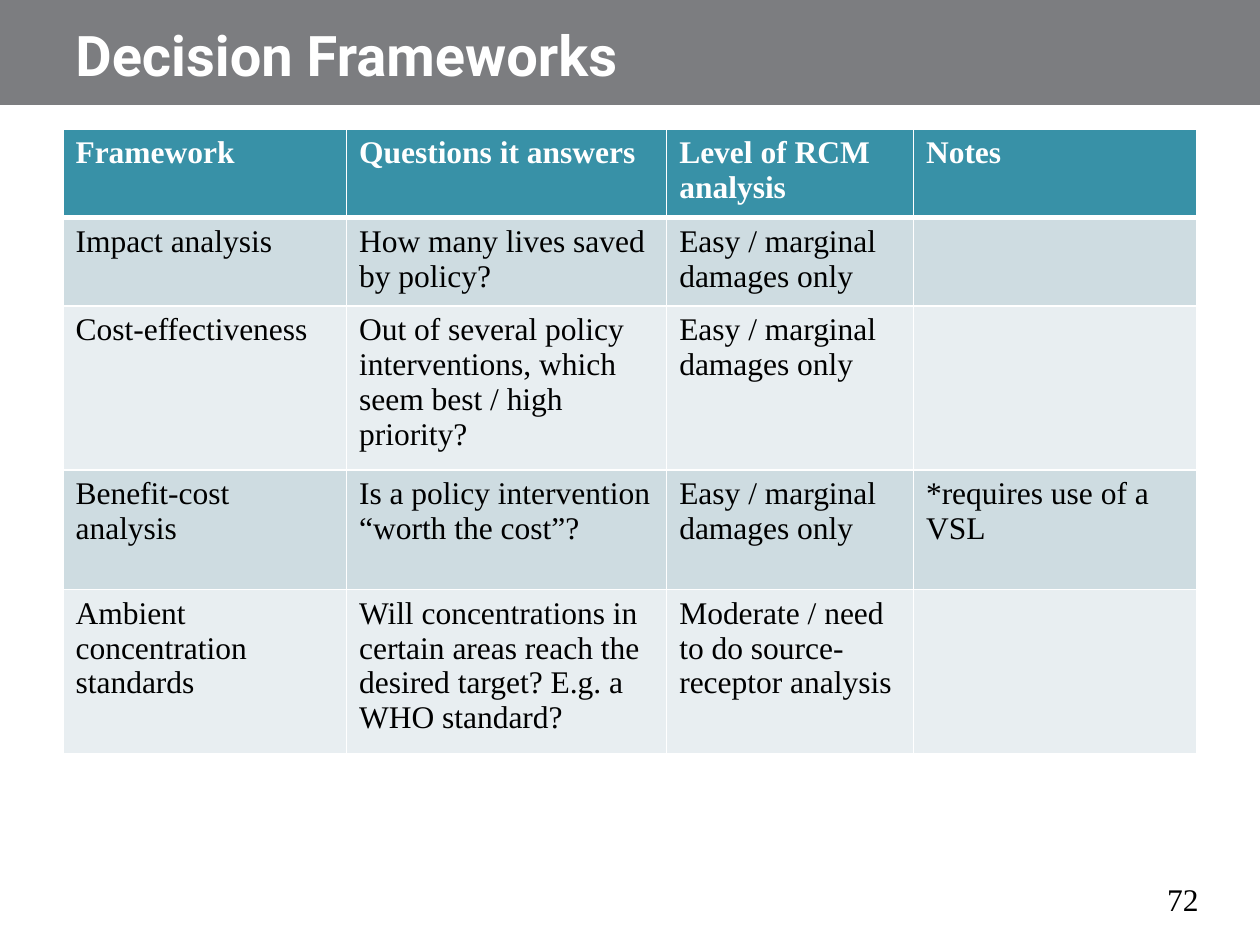
import pptx
import pptx.dml.color
import pptx.enum.shapes
import pptx.enum.text
import pptx.oxml
import pptx.oxml.ns
import pptx.util

Pt = pptx.util.Pt
RGBColor = pptx.dml.color.RGBColor
ALIGN = pptx.enum.text.PP_ALIGN
ANCHOR = pptx.enum.text.MSO_ANCHOR

WHITE = RGBColor(0xFF, 0xFF, 0xFF)
BLACK = RGBColor(0x00, 0x00, 0x00)
GRAY = RGBColor(0x7C, 0x7D, 0x80)
TEAL = RGBColor(0x38, 0x91, 0xA7)
BANDS = (RGBColor(0xCE, 0xDC, 0xE1), RGBColor(0xE8, 0xEE, 0xF1))

EASY = "Easy / marginal damages only"
ROWS = [
    ("Framework", "Questions it answers", "Level of RCM analysis", "Notes"),
    ("Impact analysis", "How many lives saved by policy?", EASY, ""),
    ("Cost-effectiveness",
     "Out of several policy interventions, which seem best / high priority?", EASY, ""),
    ("Benefit-cost analysis", "Is a policy intervention “worth the cost”?", EASY,
     "*requires use of a VSL"),
    ("Ambient concentration standards",
     "Will concentrations in certain areas reach the desired target? E.g. a WHO standard?",
     "Moderate / need to do source-receptor analysis", ""),
]
COL_WIDTHS = (162, 183, 141, 162)
ROW_HEIGHTS = (47, 47, 87, 68.5, 86.5)


class SlideBuilder:
    """Draws styled elements on the current slide, with lengths in points."""

    title_font = "Roboto"
    body_font = "Times New Roman"
    body_size = 18

    def __init__(self, s):
        self.s = s

    def style(self, item, color, bold=False, size=body_size, name=body_font):
        item.font.name = name
        item.font.size = Pt(size)
        item.font.bold = bold
        item.font.color.rgb = color

    def band(self, x, y, w, h, color):
        rect = pptx.enum.shapes.MSO_SHAPE.RECTANGLE
        sp = self.s.shapes.add_shape(rect, Pt(x), Pt(y), Pt(w), Pt(h))
        sp.shadow.inherit = False
        sp.fill.solid()
        sp.fill.fore_color.rgb = color
        sp.line.fill.background()

    def text(self, x, y, w, h, text, color, align=ALIGN.LEFT, anchor=ANCHOR.TOP, **font):
        tf = self.s.shapes.add_textbox(Pt(x), Pt(y), Pt(w), Pt(h)).text_frame
        tf.word_wrap = True
        tf.vertical_anchor = anchor
        p = tf.paragraphs[0]
        p.text = text
        p.alignment = align
        self.style(p, color, **font)

    def borders(self, cell, widths):
        tc_pr = cell._tc.get_or_add_tcPr()
        for i, (side, width) in enumerate(widths.items()):
            tc_pr.insert(i, pptx.oxml.parse_xml(
                f'<a:{side} {pptx.oxml.ns.nsdecls("a")} w="{Pt(width)}"><a:solidFill>'
                f'<a:srgbClr val="{WHITE}"/></a:solidFill></a:{side}>'))

    def table(self, x, y, col_widths, row_heights, rows):
        table = self.s.shapes.add_table(
            len(rows), len(col_widths), Pt(x), Pt(y),
            Pt(sum(col_widths)), Pt(sum(row_heights))).table
        for col, width in zip(table.columns, col_widths):
            col.width = Pt(width)
        for i, (height, texts) in enumerate(zip(row_heights, rows)):
            table.rows[i].height = Pt(height)
            header = i == 0
            for j, text in enumerate(texts):
                cell = table.cell(i, j)
                cell.fill.solid()
                cell.fill.fore_color.rgb = TEAL if header else BANDS[(i - 1) % 2]
                self.borders(cell, {"lnL": 1, "lnR": 1, "lnT": 3 if i == 1 else 1,
                                    "lnB": 3 if header else 1})
                if text:
                    r = cell.text_frame.paragraphs[0].add_run()
                    r.text = text
                    self.style(r, WHITE if header else BLACK, bold=header)


def main():
    prs = pptx.Presentation()
    prs.slide_width, prs.slide_height = Pt(720), Pt(540)
    slide = SlideBuilder(prs.slides.add_slide(prs.slide_layouts[6]))
    slide.band(0, 0, 720, 60, GRAY)
    slide.text(639, 499.5, 53, 29, "72", BLACK, align=ALIGN.RIGHT)
    slide.text(36, 5.5, 648, 48, "Decision Frameworks", WHITE, anchor=ANCHOR.BOTTOM,
               bold=True, size=32, name=slide.title_font)
    slide.table(36, 74, COL_WIDTHS, ROW_HEIGHTS, ROWS)
    prs.save("out.pptx")


if __name__ == "__main__":
    main()
